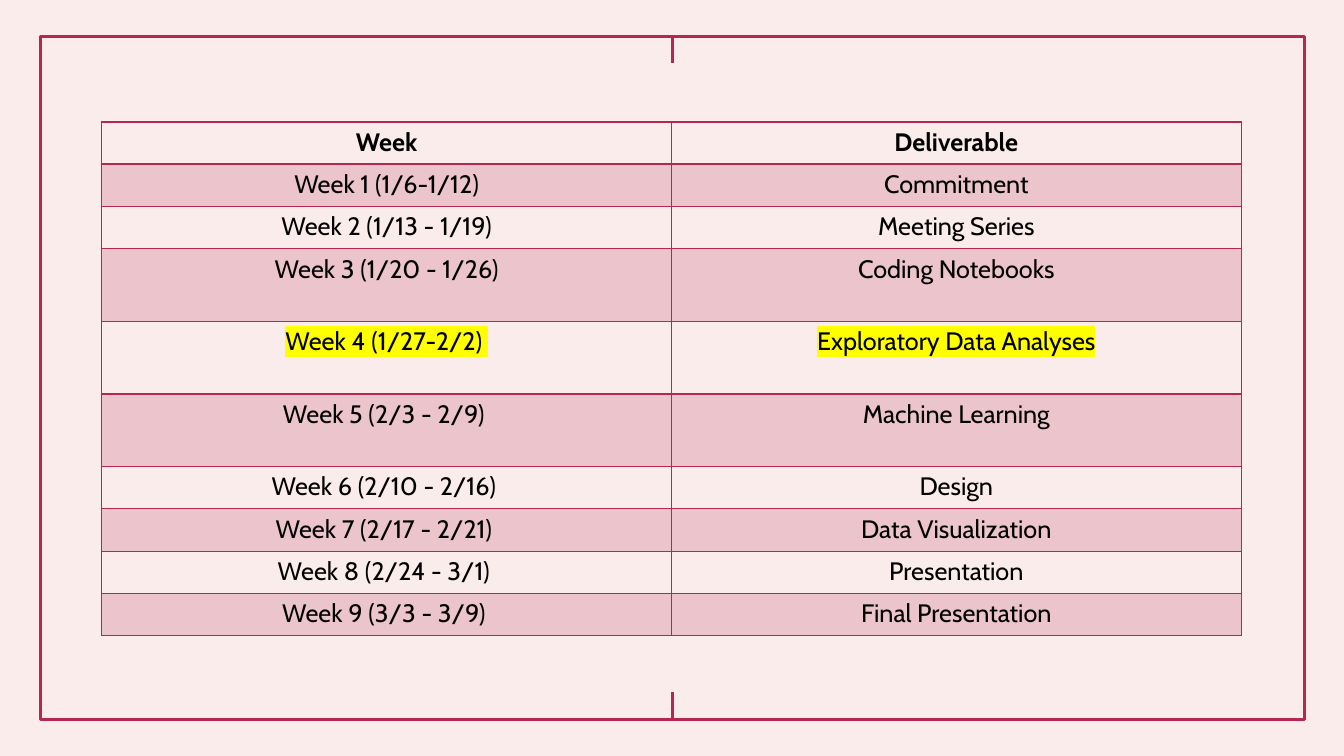
import dataclasses

import lxml.etree
import pptx
import pptx.dml.color
import pptx.enum.shapes
import pptx.enum.text
import pptx.oxml.ns
import pptx.util

Inches = pptx.util.Inches
Pt = pptx.util.Pt
qn = pptx.oxml.ns.qn


@dataclasses.dataclass
class Theme:
    back: str = "FAECEB"
    accent: str = "B32752"
    ink: str = "000000"
    mark: str = "FFFF00"
    font: str = "Cabin"
    size: float = 18
    frame: float = 2.25
    grid: float = 1
    rule: float = 2
    band: int = 20


def rgb(code):
    return pptx.dml.color.RGBColor.from_string(code)


def add(parent, tag, **attrs):
    return lxml.etree.SubElement(parent, qn(tag), **attrs)


class Page:
    def __init__(self, deck, theme):
        self.theme = theme
        self.slide = deck.slides.add_slide(deck.slide_layouts[6])
        fill = self.slide.background.fill
        fill.solid()
        fill.fore_color.rgb = rgb(theme.back)

    def stroke(self, line):
        line.color.rgb = rgb(self.theme.accent)
        line.width = Pt(self.theme.frame)

    def frame(self, left, top, width, height):
        box = self.slide.shapes.add_shape(
            pptx.enum.shapes.MSO_SHAPE.RECTANGLE,
            Inches(left), Inches(top), Inches(width), Inches(height))
        box.shadow.inherit = False
        box.fill.background()
        self.stroke(box.line)
        return box

    def tick(self, box, site, start, end):
        x = box.left + box.width // 2
        line = self.slide.shapes.add_connector(
            pptx.enum.shapes.MSO_CONNECTOR.STRAIGHT,
            x, Inches(start), x, Inches(end))
        line.begin_connect(box, site)
        self.stroke(line.line)
        add(line._element.spPr, "a:effectLst")

    def table(self, left, top, widths, heights, rows):
        table = self.slide.shapes.add_table(
            len(rows), len(widths), Inches(left), Inches(top),
            Inches(sum(widths)), Inches(sum(heights))).table
        table.first_row = table.horz_banding = False
        for column, width in zip(table.columns, widths):
            column.width = Inches(width)
        for index, (row, height) in enumerate(zip(table.rows, heights)):
            row.height = Inches(height)
            for cell, text in zip(row.cells, rows[index]):
                self.cell(cell, text, index)

    def cell(self, cell, text, index):
        para = cell.text_frame.paragraphs[0]
        para.alignment = pptx.enum.text.PP_ALIGN.CENTER
        para.font.name = self.theme.font
        para.font.size = Pt(self.theme.size)
        para.font.bold = index == 0
        para.font.color.rgb = rgb(self.theme.ink)
        run = para.add_run()
        run.text = text
        if index == CURRENT:
            light = add(run._r.get_or_add_rPr(), "a:highlight")
            add(light, "a:srgbClr", val=self.theme.mark)
        self.border(cell, index)
        self.shade(cell, index % 2 == 1)

    def border(self, cell, index):
        props = cell._tc.get_or_add_tcPr()
        for side in "LRTB":
            thick = (index, side) in ((0, "B"), (1, "T"))
            width = Pt(self.theme.rule if thick else self.theme.grid)
            line = add(props, "a:ln" + side, w=str(width))
            add(add(line, "a:solidFill"), "a:srgbClr", val=self.theme.accent)

    def shade(self, cell, band):
        if not band:
            cell.fill.background()
            return
        cell.fill.solid()
        cell.fill.fore_color.rgb = rgb(self.theme.accent)
        color = cell._tc.tcPr.find(qn("a:solidFill")).find(qn("a:srgbClr"))
        add(color, "a:alpha", val=str(self.theme.band * 1000))


CURRENT = 4
ROWS = [
    ("Week", "Deliverable"),
    ("Week 1 (1/6-1/12)", "Commitment"),
    ("Week 2 (1/13 - 1/19)", "Meeting Series"),
    ("Week 3 (1/20 - 1/26)", "Coding Notebooks"),
    ("Week 4 (1/27-2/2) ", "Exploratory Data Analyses"),
    ("Week 5 (2/3 - 2/9) ", "Machine Learning"),
    ("Week 6 (2/10 - 2/16) ", "Design"),
    ("Week 7 (2/17 - 2/21) ", "Data Visualization"),
    ("Week 8 (2/24 - 3/1) ", "Presentation"),
    ("Week 9 (3/3 - 3/9) ", "Final Presentation"),
]
TALL = (3, 4, 5)


def main():
    deck = pptx.Presentation()
    deck.slide_width = Inches(13.33)
    deck.slide_height = Inches(7.5)
    page = Page(deck, Theme())
    box = page.frame(0.4, 0.36, 12.54, 6.78)
    page.tick(box, 2, 7.14, 6.87)
    page.tick(box, 0, 0.36, 0.63)
    heights = [0.72 if row in TALL else 0.42 for row in range(len(ROWS))]
    page.table(1.01, 1.21, [5.65, 5.65], heights, ROWS)
    deck.save("out.pptx")


if __name__ == "__main__":
    main()
